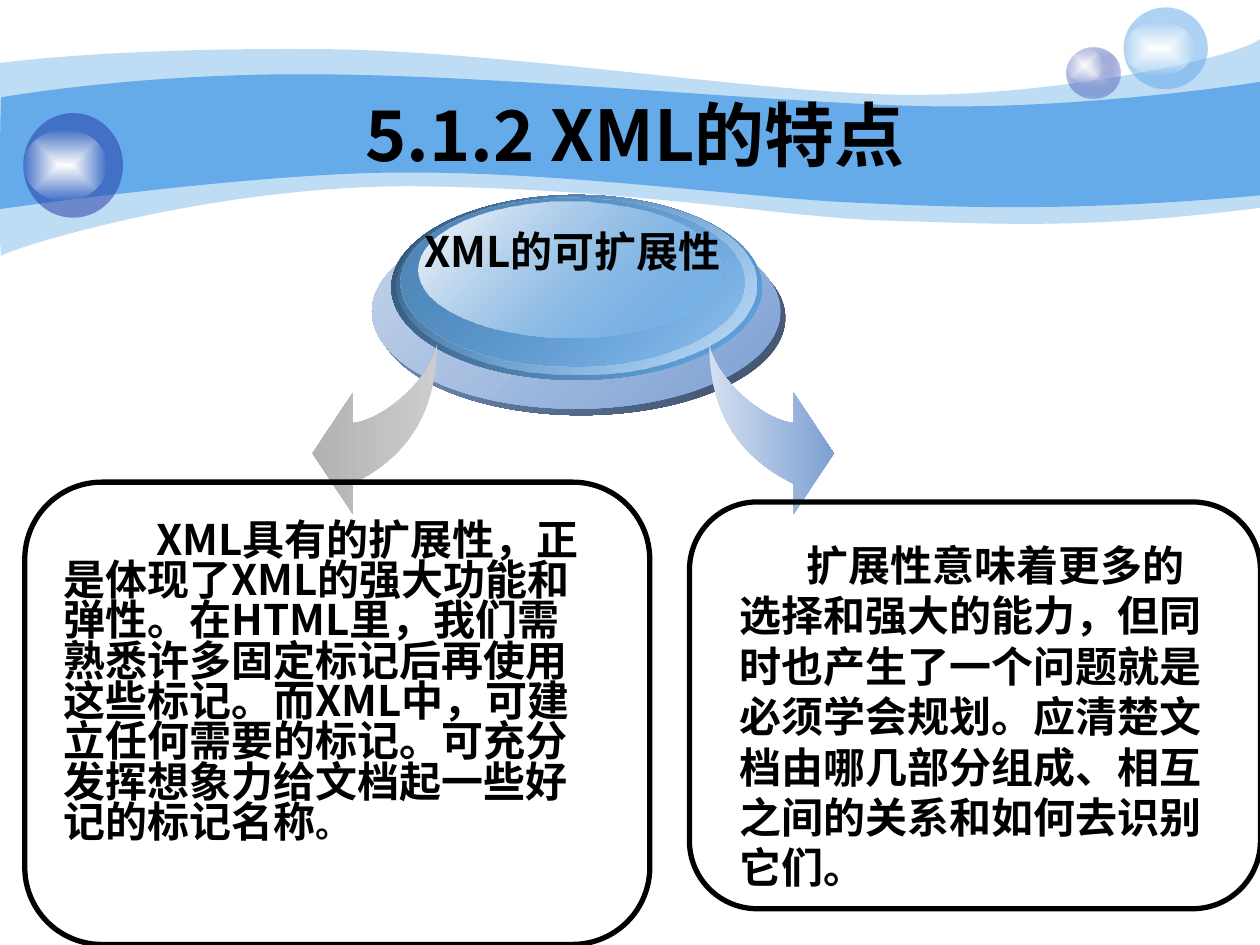
"""Build the slide on the extensibility of XML."""
from lxml import etree
from pptx import Presentation, util as u
from pptx.dml.color import RGBColor
from pptx.enum import shapes, text
from pptx.oxml.ns import qn

SANS = "Noto Sans CJK SC"
TITLE = ("5.1.2 XML的特点", (2.54, 1.91, 20.52, 1.57))
LABEL = ("XML的可扩展性", (8.3, 4.43, 6.48, 1.27))
PANELS = [
    {"frame": (0.5, 9.72, 12.6, 9.32), "area": (1.03, 10.42, 11.23, 6.76),
     "spans": [("XML具有的扩展性，正是体现了XML的强大功能和弹性。在HTML里，我们需"
                "熟悉许多固定标记后再使用这些标记。而XML中，可建立任何需要的标记。"
                "可充分发挥想象力给文档起一些好记的标记名称", None), ("。", 20)],
     "font": SANS, "indent": 1.87, "spacing": 0.8},
    {"frame": (13.9, 10.12, 11.51, 8.2), "area": (14.66, 10.75, 10.26, 7.37),
     "spans": [("扩展性意味着更多的选择和强大的能力，但同时也产生了一个问题就是必须学会"
                "规划。应清楚文档由哪几部分组成、相互之间的关系和如何去识别它们。", None)],
     "font": "Arial", "indent": 1.35, "spacing": 1.0},
]

WAVES = [
    ([("65AAE9", 41)], (0, 1.27), [
        [(0.61, 1.19), (2.72, 0.97), (6.27, 0.99)],
        [(9.8, 0.99), (14.61, 1.78), (17.75, 1.9)],
        [(20.88, 2.03), (24.89, 1.19), (25.4, 0.79)],
        [(25.4, 4.19)],
        [(21.79, 4.65), (19.99, 4.5), (17.91, 4.45)],
        [(15.8, 4.39), (13.08, 3.84), (8.71, 3.76)],
        [(4.37, 3.66), (0.1, 5.05), (0.03, 5.16)],
        [(-0.03, 5.28), (0, 1.9), (0, 1.27)]]),
    ([("65AAE9", 100)], (0.03, 1.96), [
        [(0.05, 1.96), (2.79, 1.47), (6.3, 1.5)],
        [(9.8, 1.5), (15.11, 2.03), (18.24, 2.13)],
        [(21.36, 2.24), (24.79, 1.75), (25.4, 1.65)],
        [(25.4, 3.94)],
        [(21.67, 4.27), (19.43, 4.19), (17.32, 4.09)],
        [(15.21, 4.01), (11.35, 3.45), (8.05, 3.48)],
        [(5.16, 3.48), (-0.05, 4.22), (-0.03, 4.22)],
        [(0, 4.22), (0, 1.96), (0.03, 1.96)]]),
]
GLOW = [("FFFFFF", 100), ("FEFEFE", 0)]
BUBBLES = [
    ((21.51, 0.97, 1.07, 1.02), [("C6CCE8", 100), ("233DA9", 31)]),
    ((21.51, 0.97, 0.71, 0.69), GLOW),
    ((22.65, 0.15, 1.7, 1.65), [("65AAE9", 53)]),
    ((22.65, 0.43, 1.42, 1.09), GLOW),
    ((0.47, 2.28, 2.01, 2.11), [("233DA9", 53)]),
    ((0.47, 2.62, 1.68, 1.42), GLOW),
]
DISCS = [
    ((7.6, 4.45, 8.23, 3.92), [("3C4D66", 100), ("7DA0D3", 100)]),
    ((7.5, 4.32, 8.23, 3.92), [("7DA0D3", 100), ("C4D4EA", 100)]),
    ((7.89, 3.93, 7.47, 3.73), [("65AAE9", 100), ("2E4E6B", 100)]),
    ((7.99, 3.93, 7.26, 3.63), [("C8E0F6", 100), ("65AAE9", 0)]),
    ((8.07, 3.98, 6.93, 3.4), [("65AAE9", 48), ("4F86B7", 100)]),
    ((8.43, 4.06, 6.1, 2.74), [("65AAE9", 38), ("FEFEFE", 100)]),
]
ARROW_START = (8.81, 6.93)
ARROW = [
    [(8.81, 8.26), (8.26, 9.19), (7.11, 9.75)],
    [(7.11, 10.36)], [(6.3, 9.14)], [(7.11, 7.92)], [(7.11, 8.53)],
    [(7.75, 8.46), (8.69, 7.62), (8.81, 6.93)],
]
ARROW_MIRROR = 23.11


def lengths(values):
    return [u.Cm(value) for value in values]


def paint(shape, stops, angle=None):
    """Fill with one colour, or with a linear (angle) or centred gradient."""
    shape.shadow.inherit = False
    shape.line.fill.background()
    shape.fill.background()
    properties = shape._element.spPr
    fill = etree.Element(qn("a:solidFill" if len(stops) == 1 else "a:gradFill"))
    parents = [fill]
    if len(stops) > 1:
        listing = etree.SubElement(fill, qn("a:gsLst"))
        parents = [etree.SubElement(listing, qn("a:gs"), pos=pos) for pos in ("0", "100000")]
        if angle is None:
            centre = etree.SubElement(fill, qn("a:path"))
            centre.set("path", "rect")
            etree.SubElement(centre, qn("a:fillToRect"), l="50000", t="50000", r="50000", b="50000")
        else:
            etree.SubElement(fill, qn("a:lin"), ang=str(angle * 60000), scaled="0")
    for parent, (colour, opacity) in zip(parents, stops):
        tone = etree.SubElement(parent, qn("a:srgbClr"), val=colour)
        if opacity < 100:
            etree.SubElement(tone, qn("a:alpha"), val=str(opacity * 1000))
    properties.replace(properties.find(qn("a:noFill")), fill)


def add_outline(page, start, segments, stops, angle=None):
    """Draw straight segments (one point) and cubic curves (three points)."""
    builder = page.shapes.build_freeform(*lengths(start))
    builder.add_line_segments([lengths(point) for segment in segments for point in segment])
    shape = builder.convert_to_shape()
    lines = iter(list(shape._element.spPr.iter(qn("a:lnTo"))))
    for segment in segments:
        pieces = [next(lines) for _ in segment]
        if len(pieces) == 3:
            curve = etree.Element(qn("a:cubicBezTo"))
            pieces[0].addprevious(curve)
            for piece in pieces:
                curve.append(piece[0])
                piece.getparent().remove(piece)
    paint(shape, stops, angle)


def add_ellipse(page, place, stops, angle=None):
    paint(page.shapes.add_shape(shapes.MSO_SHAPE.OVAL, *lengths(place)), stops, angle)


def write(box, spans, size, font=SANS, align=text.PP_ALIGN.CENTER, indent=0, spacing=None):
    box.text_frame.word_wrap = True
    para = box.text_frame.paragraphs[0]
    for content, span_size in spans:
        span = para.add_run()
        span.text = content
        if span_size:
            span.font.size = u.Pt(span_size)
    para.alignment, para.line_spacing = align, spacing
    properties = para._p.get_or_add_pPr()
    if indent:
        properties.set("indent", str(u.Cm(indent)))
    para.font.size, para.font.bold, para.font.name = u.Pt(size), True, font
    para.font.color.rgb = RGBColor.from_string("000000")
    etree.SubElement(properties.find(qn("a:defRPr")), qn("a:ea"), typeface=SANS)


def add_panel(page, panel):
    frame = page.shapes.add_shape(shapes.MSO_SHAPE.ROUNDED_RECTANGLE, *lengths(panel["frame"]))
    frame.shadow.inherit = False
    frame.fill.background()
    frame.line.color.rgb = RGBColor.from_string("000000")
    frame.line.width = u.Pt(3)
    box = page.shapes.add_textbox(*lengths(panel["area"]))
    write(box, panel["spans"], 24, panel["font"], text.PP_ALIGN.LEFT,
          panel["indent"], panel["spacing"])


def main():
    deck = Presentation()
    deck.slide_width, deck.slide_height = lengths((25.4, 19.05))
    page = deck.slides.add_slide(deck.slide_layouts[5])
    for stops, start, segments in WAVES:
        add_outline(page, start, segments, stops)
    for place, stops in BUBBLES:
        add_ellipse(page, place, stops)
    for place, stops in DISCS:
        add_ellipse(page, place, stops, 225)
    write(page.shapes.add_textbox(*lengths(LABEL[1])), [(LABEL[0], None)], 24)
    add_outline(page, ARROW_START, ARROW, [("CDCDCD", 100), ("B2B2B2", 100)], 180)
    flip = lambda point: (ARROW_MIRROR - point[0], point[1])
    add_outline(page, flip(ARROW_START), [[flip(point) for point in segment] for segment in ARROW],
                [("D4DFF0", 100), ("7DA0D3", 100)], 0)
    for panel in PANELS:
        add_panel(page, panel)
    title = page.shapes.title
    title.left, title.top, title.width, title.height = lengths(TITLE[1])
    title.text_frame.vertical_anchor = text.MSO_ANCHOR.MIDDLE
    write(title, [(TITLE[0], None)], 40)
    page.shapes._spTree.append(title._element)
    deck.save("out.pptx")


if __name__ == "__main__":
    main()
